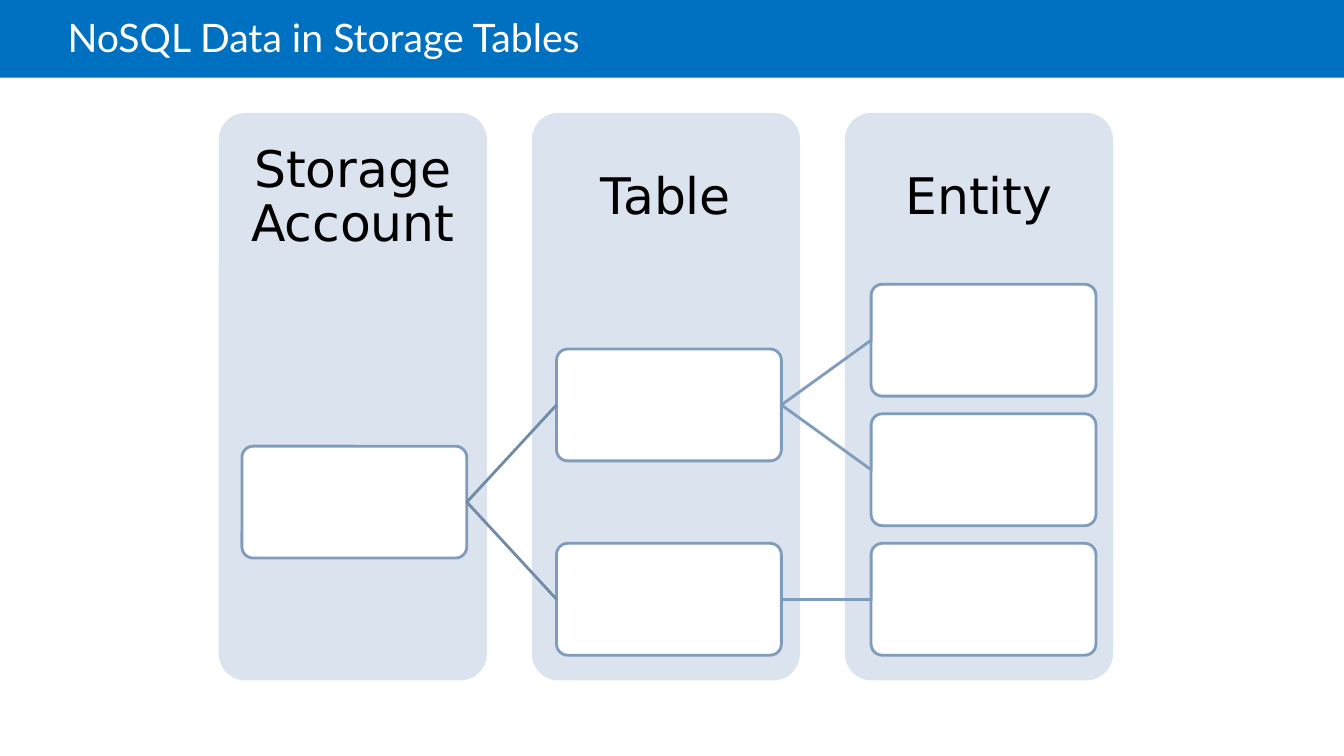
import pptx
import pptx.util
import pptx.dml.color
import pptx.enum.shapes
import pptx.enum.text
import pptx.oxml.ns
from lxml import etree

Inches = pptx.util.Inches
Pt = pptx.util.Pt
RGBColor = pptx.dml.color.RGBColor
Shape = pptx.enum.shapes.MSO_SHAPE
Align = pptx.enum.text.PP_ALIGN

BLUE = RGBColor(0x00, 0x70, 0xC0)
PALE = RGBColor(0xDB, 0xE3, 0xEE)
STEEL = RGBColor(0x80, 0x9C, 0xBD)
SLATE = RGBColor(0x71, 0x8A, 0xA7)
WHITE = RGBColor(0xFF, 0xFF, 0xFF)
BLACK = RGBColor(0x00, 0x00, 0x00)

HEADS = ["Storage Account", "Table", "Entity"]
# One account holds two tables, with two entities and one entity.
TREE = [[[], []], [[]]]
LINKS = [SLATE, STEEL]

PANEL_X, PANEL_Y, PANEL_W, PANEL_H = 2.17, 1.12, 2.66, 5.63
PANEL_STEP = (8.38 - PANEL_X) / 2
HEAD_H = 0.3 * PANEL_H
BOX_X, BOX_Y, BOX_W, BOX_H = 2.4, 2.82, 2.23, 1.11
BOX_STEP = 3.12
ROW_STEP = (5.39 - BOX_Y) / 2


class Deck:
    def __init__(self):
        self.file = pptx.Presentation()
        self.file.slide_width = Inches(13.33)
        self.file.slide_height = Inches(7.5)
        self.slide = self.file.slides.add_slide(self.file.slide_layouts[6])

    def block(self, kind, x, y, w, h, fill, line=None):
        shape = self.slide.shapes.add_shape(
            kind, Inches(x), Inches(y), Inches(w), Inches(h))
        shape.shadow.inherit = False
        shape.fill.solid()
        shape.fill.fore_color.rgb = fill
        if kind == Shape.ROUNDED_RECTANGLE:
            shape.adjustments[0] = 0.1
        if line is None:
            shape.line.fill.background()
        else:
            shape.line.color.rgb = line
            shape.line.width = Pt(2)
        return shape

    def text(self, words, x, y, w, h, font, size, color, align, space, pads):
        """Add a middle-anchored line; pads are left, top, right, bottom."""
        box = self.slide.shapes.add_textbox(
            Inches(x), Inches(y), Inches(w), Inches(h))
        frame = box.text_frame
        frame.word_wrap = True
        frame.vertical_anchor = pptx.enum.text.MSO_ANCHOR.MIDDLE
        (frame.margin_left, frame.margin_top,
         frame.margin_right, frame.margin_bottom) = map(Inches, pads)
        para = frame.paragraphs[0]
        para.alignment = align
        para.line_spacing = space
        run = para.add_run()
        run.text = words
        run.font.name = font
        run.font.size = Pt(size)
        run.font.color.rgb = color

    def link(self, start, end, color):
        """Join the right side of one box to the left side of another."""
        line = self.slide.shapes.add_connector(
            pptx.enum.shapes.MSO_CONNECTOR.STRAIGHT, 0, 0, 0, 0)
        line.begin_connect(start, 3)
        line.end_connect(end, 1)
        line.line.color.rgb = color
        line.line.width = Pt(2)
        etree.SubElement(line.element.spPr, pptx.oxml.ns.qn("a:effectLst"))

    def tree(self, nodes, rows, level=0):
        """Draw a box centred on its children; return the box and its row."""
        kids = [self.tree(node, rows, level + 1) for node in nodes]
        row = (kids[0][1] + kids[-1][1]) / 2 if kids else next(rows)
        box = self.block(Shape.ROUNDED_RECTANGLE, BOX_X + level * BOX_STEP,
                         BOX_Y + row * ROW_STEP, BOX_W, BOX_H, WHITE, STEEL)
        for kid, _ in kids:
            self.link(box, kid, LINKS[level])
        return box, row


def main():
    deck = Deck()
    deck.block(Shape.RECTANGLE, 0, 0, 13.33, 0.77, BLUE)
    deck.text("NoSQL Data in Storage Tables", 0.67, 0, 11.34, 0.81, "Lato", 28,
              WHITE, Align.LEFT, 0.85, (0, 0.05, 0.1, 0.05))
    for col, head in enumerate(HEADS):
        x = PANEL_X + col * PANEL_STEP
        deck.block(Shape.ROUNDED_RECTANGLE, x, PANEL_Y, PANEL_W, PANEL_H, PALE)
        deck.text(head, x, PANEL_Y, PANEL_W, HEAD_H, "DejaVu Sans", 36,
                  BLACK, Align.CENTER, 0.9, (0.28,) * 4)
    deck.tree(TREE, iter(range(3)))
    deck.file.save("out.pptx")


if __name__ == "__main__":
    main()
